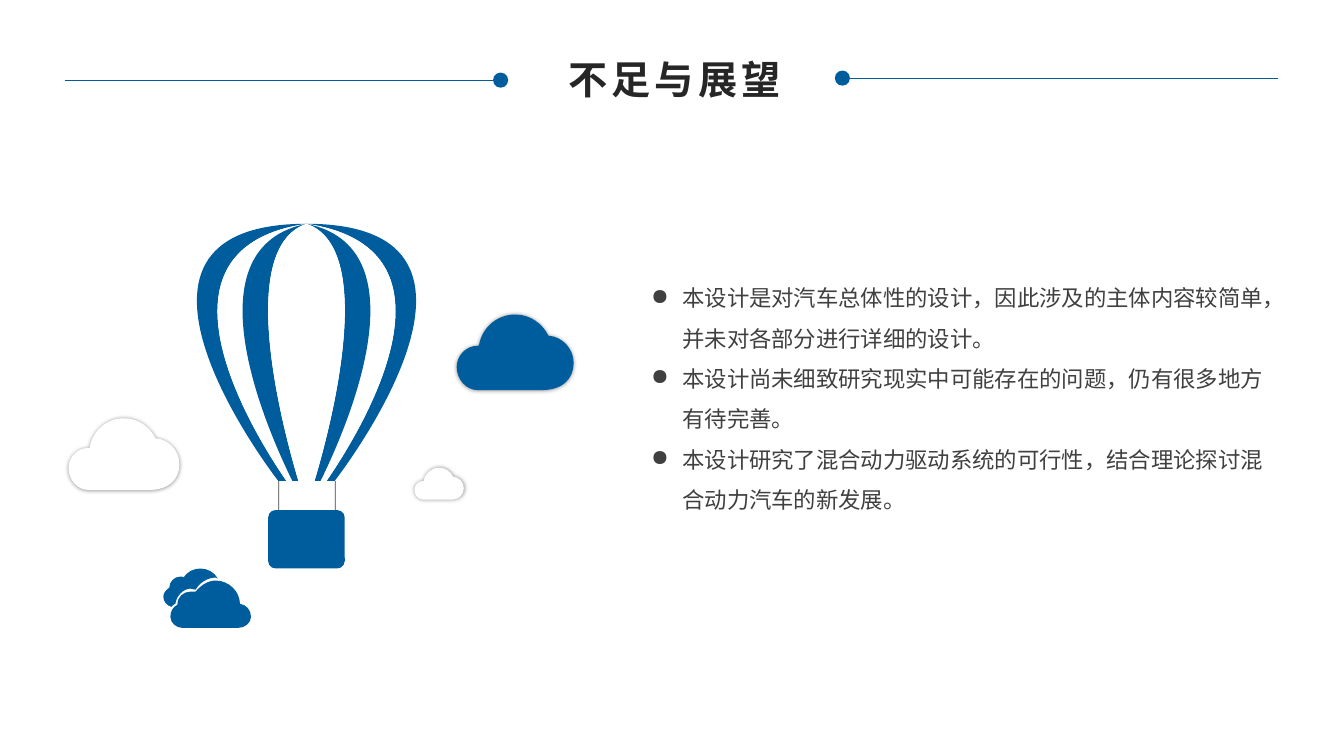
from lxml import etree
from pptx import Presentation
from pptx.dml.color import RGBColor
from pptx.enum.shapes import MSO_CONNECTOR, MSO_SHAPE
from pptx.enum.text import PP_ALIGN
from pptx.oxml import parse_xml
from pptx.oxml.ns import nsdecls, qn
from pptx.util import Inches, Pt

LINE = MSO_CONNECTOR.STRAIGHT
OVAL = MSO_SHAPE.OVAL
RECT = MSO_SHAPE.RECTANGLE
ROUND = MSO_SHAPE.ROUNDED_RECTANGLE
CENTER = PP_ALIGN.CENTER
BLUE, WHITE, GREY, DARK = "005D9D", "FFFFFF", "404040", "262626"

POINTS = [
    "本设计是对汽车总体性的设计，因此涉及的主体内容较简单，并未对各部分进行详细的设计。",
    "本设计尚未细致研究现实中可能存在的问题，仍有很多地方有待完善。",
    "本设计研究了混合动力驱动系统的可行性，结合理论探讨混合动力汽车的新发展。",
]

# Outlines: a pair is a straight line or start, six numbers are a curve
CLOUD = [
    (0.91, 0.21),
    (0.85, 0.09, 0.73, 0, 0.58, 0),
    (0.4, 0, 0.25, 0.13, 0.22, 0.31),
    (0.21, 0.31),
    (0.09, 0.31, 0, 0.41, 0, 0.52),
    (0, 0.64, 0.09, 0.75, 0.21, 0.75),
    (0.84, 0.75),
    (1.06, 0.75, 1.16, 0.63, 1.16, 0.48),
    (1.16, 0.34, 1.05, 0.22, 0.91, 0.21),
]
BACK = [
    (0.12, 0.35),
    (0.13, 0.27, 0.2, 0.2, 0.27, 0.2),
    (0.29, 0.2, 0.3, 0.2, 0.32, 0.21),
    (0.36, 0.14, 0.44, 0.09, 0.52, 0.09),
    (0.54, 0.1),
    (0.51, 0.04, 0.44, 0, 0.37, 0),
    (0.3, 0, 0.24, 0.03, 0.2, 0.09),
    (0.2, 0.08, 0.18, 0.08, 0.17, 0.08),
    (0.11, 0.08, 0.06, 0.13, 0.06, 0.19),
    (0.03, 0.21, 0, 0.24, 0, 0.28),
    (0, 0.33, 0.04, 0.37, 0.08, 0.38),
    (0.1, 0.36, 0.11, 0.35, 0.12, 0.35),
]
FRONT = [
    (0.69, 0.23),
    (0.69, 0.11, 0.58, 0, 0.45, 0),
    (0.37, 0, 0.3, 0.05, 0.25, 0.11),
    (0.24, 0.11, 0.22, 0.11, 0.2, 0.11),
    (0.13, 0.11, 0.07, 0.16, 0.07, 0.24),
    (0.03, 0.26, 0, 0.3, 0, 0.36),
    (0, 0.42, 0.06, 0.47, 0.12, 0.47),
    (0.67, 0.47),
    (0.74, 0.47, 0.8, 0.42, 0.8, 0.36),
    (0.8, 0.29, 0.75, 0.24, 0.69, 0.23),
]
# Balloon seams from crown to mouth: two control points and the end
SEAMS = [
    (2.27, 0, 0.28, 2.55, 0.28, 2.55),
    (1.57, 0.23, 0.66, 1.88, 0.2, 2.55),
    (1.13, 0.23, 0.47, 1.88, 0.14, 2.55),
    (0.68, 0.23, 0.28, 1.88, 0.08, 2.55),
    (0, 0.85, 0, 1.7, 0, 2.55),
]


def color(code):
    return RGBColor.from_string(code)


def paint(shape, code):
    shape.shadow.inherit = False
    shape.fill.solid()
    shape.fill.fore_color.rgb = color(code)
    shape.line.fill.background()
    return shape


def block(slide, kind, x, y, w, h, code):
    shape = slide.shapes.add_shape(kind, Inches(x), Inches(y), Inches(w), Inches(h))
    return paint(shape, code)


def draw(slide, outline, x, y, code, wide=1, high=1):
    """Build the outline, then join each curve's three points into a Bézier."""
    spots = [(Inches(x + part[k] * wide), Inches(y + part[k + 1] * high))
             for part in outline for k in range(0, len(part), 2)]
    form = slide.shapes.build_freeform(*spots[0])
    form.add_line_segments(spots[1:], close=True)
    shape = form.convert_to_shape()
    legs = iter(list(shape._element.iter(qn("a:lnTo"))))
    for part in outline[1:]:
        leg = next(legs)
        if len(part) == 6:
            curve = etree.Element(qn("a:cubicBezTo"))
            leg.addprevious(curve)
            for piece in (leg, next(legs), next(legs)):
                curve.append(piece[0])
                piece.getparent().remove(piece)
    return paint(shape, code)


def rule(slide, x, end, y, dot):
    """Thin line with a dot centred on the same height."""
    line = slide.shapes.add_connector(LINE, Inches(x), Inches(y), Inches(end), Inches(y))
    line.line.color.rgb = color(BLUE)
    line.line.width = Pt(0.25)
    etree.SubElement(line._element.spPr, qn("a:effectLst"))
    block(slide, OVAL, dot, y - 0.08, 0.15, 0.15, BLUE)


def style(para, size, code, face):
    para.font.size = Pt(size)
    para.font.name = face
    para.font.color.rgb = color(code)
    return para._p.pPr.find(qn("a:defRPr"))


def textbox(slide, x, y, w, h, wrap):
    box = slide.shapes.add_textbox(Inches(x), Inches(y), Inches(w), Inches(h))
    box.text_frame.word_wrap = wrap
    return box.text_frame


def header(slide, x, y, w):
    rule(slide, x, x + 4.25, y + 0.3, x + 4.25)
    rule(slide, x + w, x + w - 4.25, y + 0.28, x + w - 4.4)
    para = textbox(slide, x + 4.86, y, 2.38, 0.57, False).paragraphs[0]
    para.text = "不足与展望"
    para.alignment = CENTER
    props = style(para, 28, DARK, "Arial")
    para.font.bold = True
    props.set("spc", "300")


def balloon(slide, mid, top):
    for side in (-1, 1):
        # Stripes between neighbouring seams, mirrored about the middle
        for i, (outer, inner) in enumerate(zip(SEAMS, SEAMS[1:])):
            back = inner[2:4] + inner[:2] + (0, 0)
            gore = [(0, 0), outer, inner[4:], back]
            draw(slide, gore, mid, top, WHITE if i % 2 else BLUE, side)
        block(slide, RECT, mid + side * 0.28, top + 2.55, 0.01, 0.29, GREY)
    basket = block(slide, ROUND, mid - 0.38, top + 2.84, 0.76, 0.58, BLUE)
    basket.adjustments[0] = 0.13


def cloud(slide, x, y, w, code):
    size = w / 1.16
    shape = draw(slide, CLOUD, x, y, code, size, size)
    glow = shape._element.spPr.find(qn("a:effectLst"))
    glow.append(parse_xml(
        f'<a:outerShdw {nsdecls("a")} blurRad="{Pt(3)}" dist="0" dir="0" algn="ctr" '
        'rotWithShape="0"><a:srgbClr val="000000"><a:alpha val="40000"/>'
        '</a:srgbClr></a:outerShdw>'))


def pair(slide, x, y):
    draw(slide, BACK, x, y, BLUE)
    draw(slide, FRONT, x + 0.07, y + 0.12, BLUE)


def body(slide, x, y, w, h):
    frame = textbox(slide, x, y, w, h, True)
    face = "Noto Sans CJK SC"
    for i, text in enumerate(POINTS):
        para = frame.add_paragraph() if i else frame.paragraphs[0]
        para.text = text
        para.line_spacing = 1.5
        props = style(para, 16, GREY, face)
        etree.SubElement(props, qn("a:ea")).set("typeface", face)
        para._p.pPr.set("marL", str(Inches(0.31)))
        para._p.pPr.set("indent", str(-Inches(0.31)))
        props.addprevious(parse_xml(f'<a:buChar {nsdecls("a")} char="●"/>'))


def main():
    deck = Presentation()
    deck.slide_width, deck.slide_height = Inches(13.33), Inches(7.5)
    slide = deck.slides.add_slide(deck.slide_layouts[6])
    header(slide, 0.64, 0.5, 12.04)
    balloon(slide, 3.04, 2.22)
    cloud(slide, 4.11, 4.64, 0.49, WHITE)
    cloud(slide, 4.53, 3.12, 1.16, BLUE)
    cloud(slide, 0.68, 4.15, 1.1, WHITE)
    pair(slide, 1.62, 5.64)
    body(slide, 6.36, 2.64, 6.43, 2.52)
    deck.save("out.pptx")


if __name__ == "__main__":
    main()
